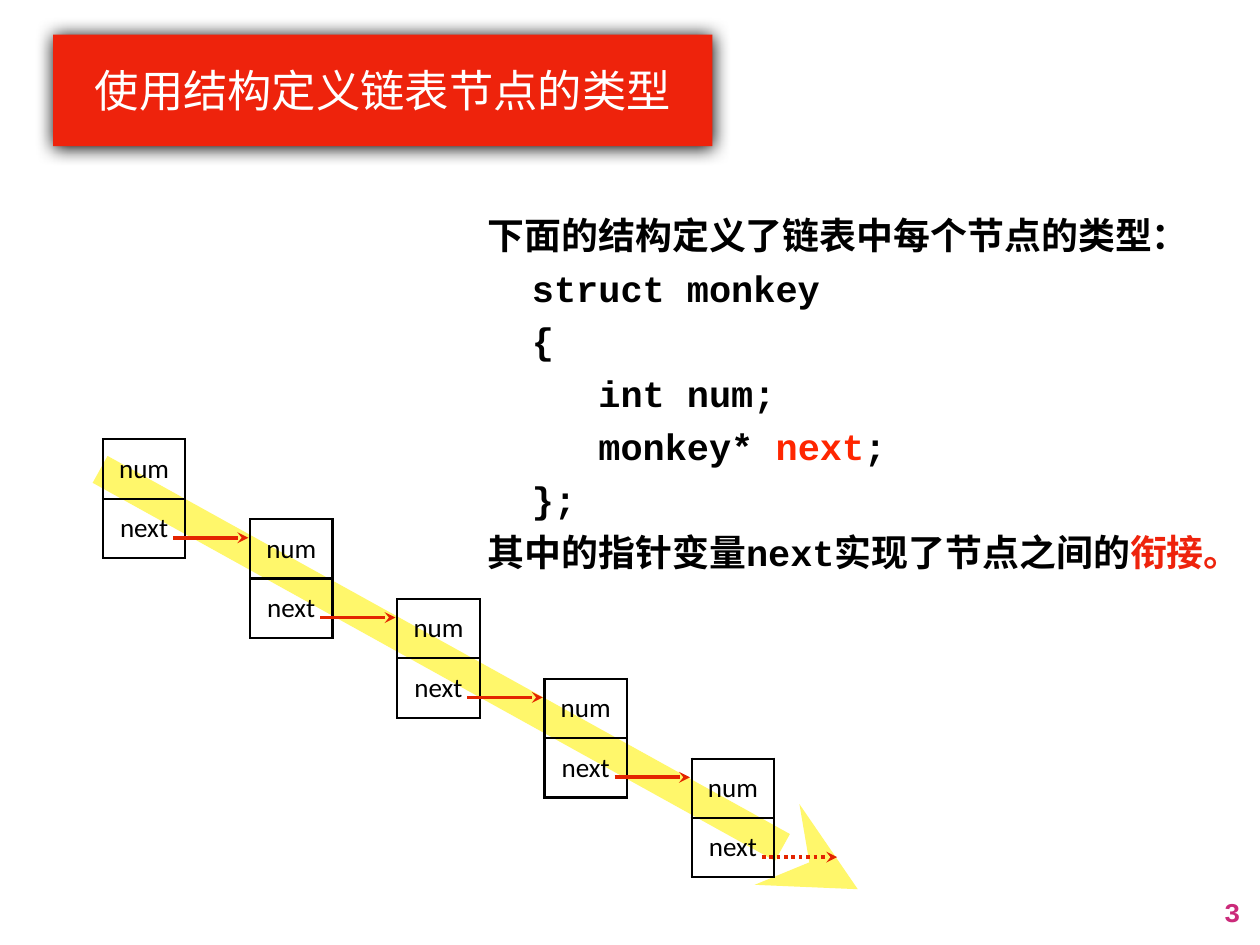
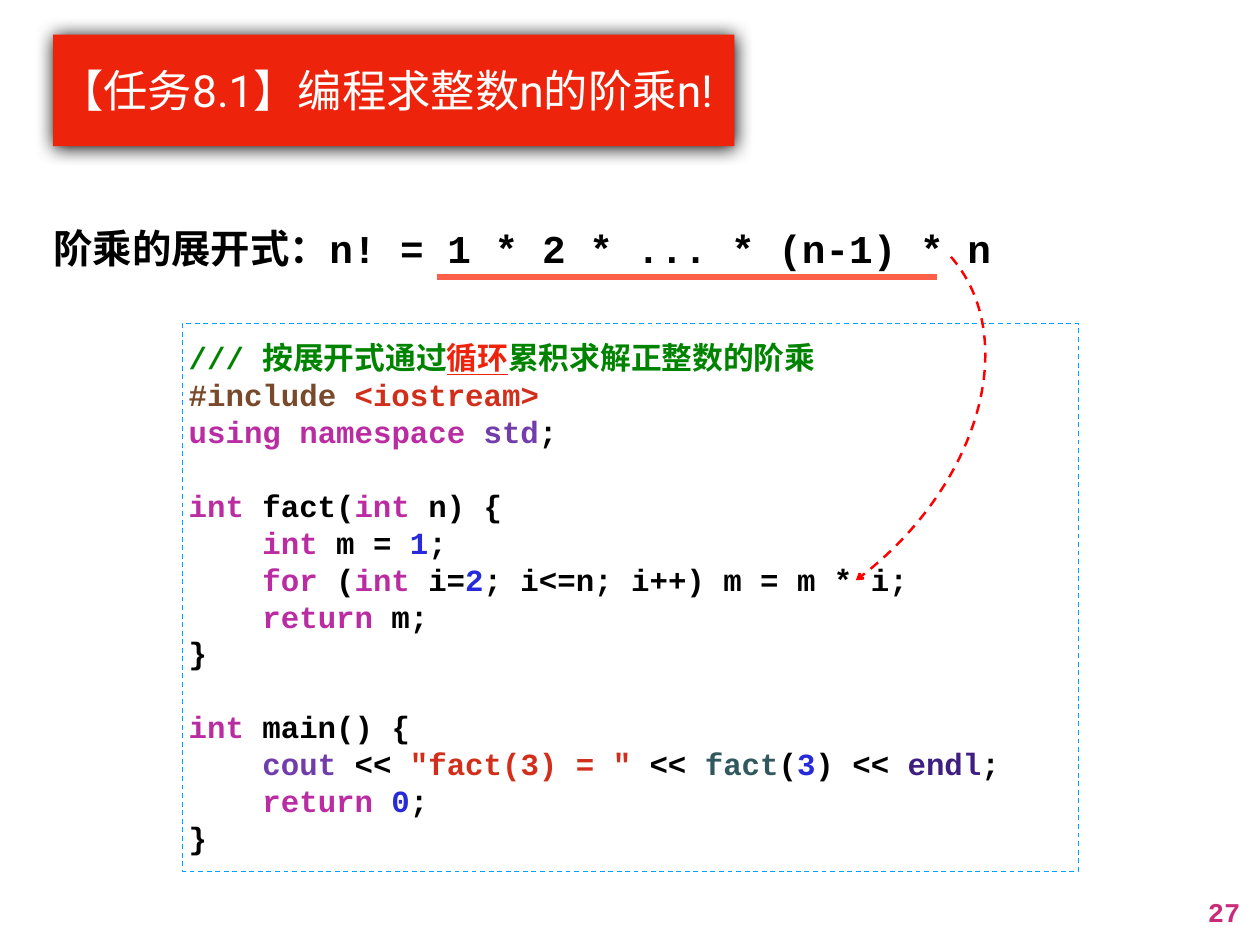
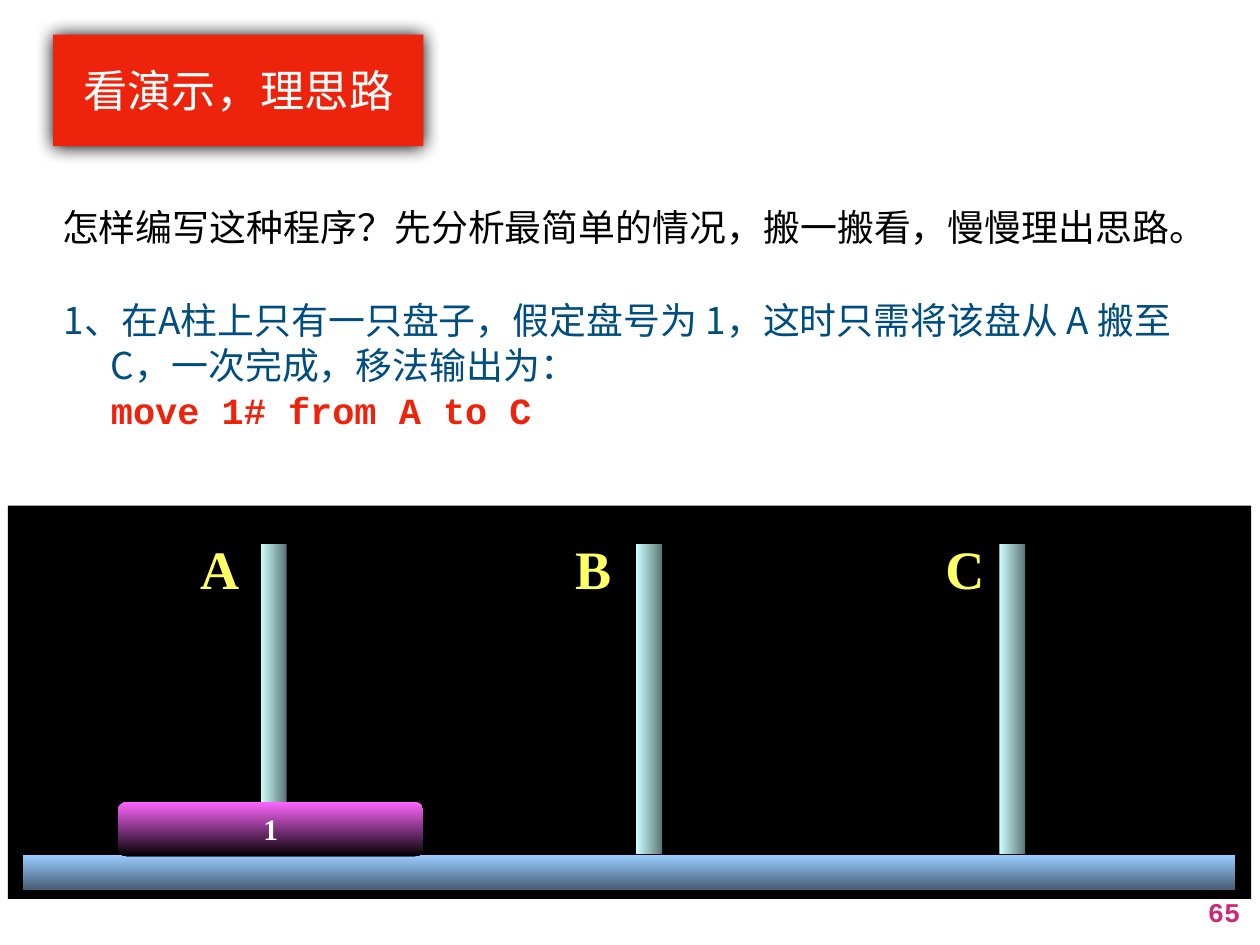
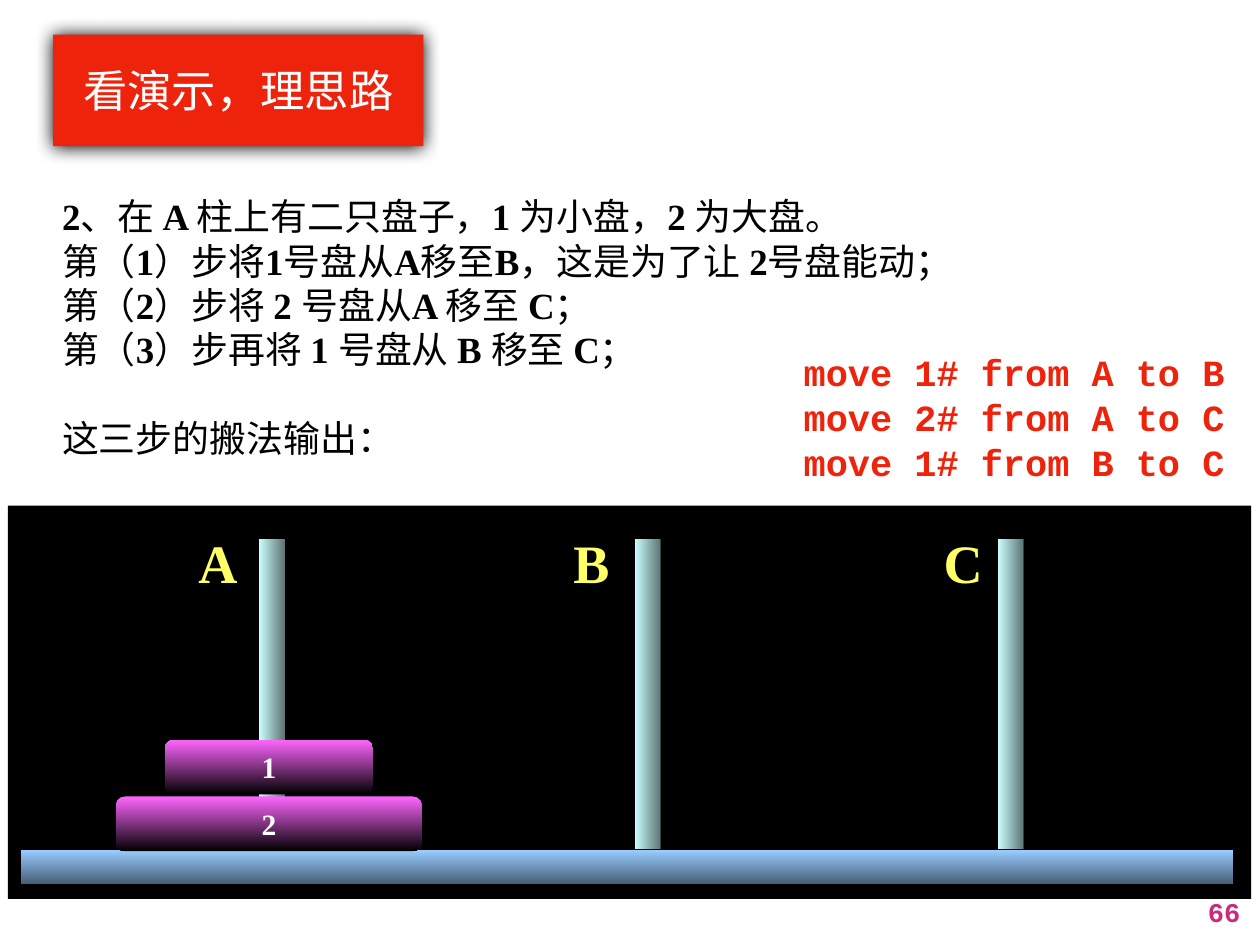
from itertools import groupby
from typing import NamedTuple, Optional

from lxml.etree import SubElement
from pptx import Presentation
from pptx.dml.color import RGBColor
from pptx.enum.dml import MSO_LINE
from pptx.enum.shapes import MSO_CONNECTOR, MSO_SHAPE
from pptx.enum.text import MSO_ANCHOR, MSO_AUTO_SIZE, PP_ALIGN
from pptx.oxml.ns import qn
from pptx.util import Cm, Pt

COLOURS = {
    "black": "000000", "white": "FFFFFF", "red": "EE230C", "magenta": "CB2A7A",
    "blue": "004D80", "next": "FF2600", "pointer": "E32400", "chain": "FFF76B",
    "underline": "FE5F48", "curve": "FF0000", "frame": "00A2FF",
    # Code highlighting
    "comment": "008400", "directive": "78492A", "string": "D12F1B",
    "keyword": "BA2DA2", "library": "703DAA", "number": "272AD8",
    "call": "31595D", "endl": "3E1E81",
    # Towers
    "label": "FFFF66", "pole_light": "CCFFFF", "pole_dark": "5E7676",
    "base_light": "99CCFF", "base_dark": "475E76", "disk": "FF66FF",
}
CODE_FONT, HAN_FONT, SERIF_FONT = "Courier New", "Noto Sans CJK SC", "Times New Roman"
MARGIN = 0.18
HANGING = 1.35


class Run(NamedTuple):
    text: str
    colour: Optional[str] = None
    font: Optional[str] = None
    bold: Optional[bool] = None
    underline: Optional[bool] = None


def rgb(name):
    return RGBColor.from_string(COLOURS[name])


def set_font(font, name=None, size=None, colour=None, bold=None, underline=None):
    if size:
        font.size = Pt(size)
    if bold is not None:
        font.bold = bold
    if underline is not None:
        font.underline = underline
    if colour:
        font.color.rgb = rgb(colour)
    if name:
        font.name = name


def write(shape, lines, font, size, colour="black", bold=False, pitch=None,
          align=PP_ALIGN.LEFT, anchor=MSO_ANCHOR.TOP, hanging=False, wrap=True):
    """Fill a shape with lines; an empty line becomes space before the next."""
    frame = shape.text_frame
    frame.word_wrap = wrap
    frame.auto_size = MSO_AUTO_SIZE.NONE if wrap else MSO_AUTO_SIZE.SHAPE_TO_FIT_TEXT
    frame.vertical_anchor = anchor
    frame.margin_left = frame.margin_right = Cm(MARGIN)
    frame.margin_top = frame.margin_bottom = Cm(MARGIN)
    paragraph, gap = None, 0
    for line in lines:
        if not line:
            gap += pitch
            continue
        paragraph = frame.add_paragraph() if paragraph else frame.paragraphs[0]
        paragraph.alignment = align
        if pitch:
            paragraph.line_spacing = Pt(pitch)
        if gap:
            paragraph.space_before = Pt(gap)
            gap = 0
        if hanging:
            properties = paragraph._p.get_or_add_pPr()
            properties.set("marL", str(Cm(HANGING)))
            properties.set("indent", str(-Cm(HANGING)))
        set_font(paragraph.font, font, size, colour, bold)
        for item in [line] if isinstance(line, str) else line:
            if item == "\n":
                paragraph.add_line_break()
                continue
            part = Run(item) if isinstance(item, str) else item
            run = paragraph.add_run()
            run.text = part.text
            set_font(run.font, part.font, None, part.colour, part.bold, part.underline)


def add_text(slide, box, lines, font, size, **style):
    shape = slide.shapes.add_textbox(*map(Cm, box))
    write(shape, lines, font, size, **style)
    return shape


def add_block(slide, kind, box, fill=None):
    """Preset shape without line or shadow, filled with a colour or nothing."""
    shape = slide.shapes.add_shape(kind, *map(Cm, box))
    shape.shadow.inherit = False
    shape.line.fill.background()
    if fill:
        shape.fill.solid()
        shape.fill.fore_color.rgb = rgb(fill)
    else:
        shape.fill.background()
    return shape


def add_gradient(slide, kind, box, colours, angle):
    shape = add_block(slide, kind, box)
    shape.fill.gradient()
    shape.fill.gradient_angle = angle
    for stop, colour, position in zip(shape.fill.gradient_stops, colours, (0, 1)):
        stop.color.rgb = rgb(colour)
        stop.position = position
    return shape


def style_line(line, colour, width, dash=None, arrow=None):
    line.color.rgb = rgb(colour)
    line.width = Pt(width)
    if dash:
        line.dash_style = dash
    if arrow:
        SubElement(line._get_or_add_ln(), qn("a:tailEnd"), type=arrow)


def add_line(slide, ends, colour, width, **style):
    line = slide.shapes.add_connector(MSO_CONNECTOR.STRAIGHT, *map(Cm, ends))
    style_line(line.line, colour, width, **style)
    SubElement(line._element.spPr, qn("a:effectLst"))


def start_slide(presentation, title, width, number, align=PP_ALIGN.CENTER):
    """New slide with the red title block and the page number."""
    slide = presentation.slides.add_slide(presentation.slide_layouts[5])
    shape = slide.shapes.title
    shape.left, shape.top, shape.width, shape.height = map(Cm, (1.52, 0.99, width, 3.2))
    shape.fill.solid()
    shape.fill.fore_color.rgb = rgb("red")
    effects = SubElement(shape._element.spPr, qn("a:effectLst"))
    shadow = SubElement(effects, qn("a:outerShdw"), blurRad=str(Pt(15)),
                        dist=str(Pt(0.7)), dir="5400000", rotWithShape="0")
    SubElement(shadow, qn("a:srgbClr"), val=COLOURS["black"])
    write(shape, [title], "Roboto", 36, "white", pitch=43, align=align,
          anchor=MSO_ANCHOR.MIDDLE)
    add_text(slide, (33.7, 25.5, 2.04, 1.27), [str(number)], CODE_FONT, 22,
             colour="magenta", bold=True, pitch=26, align=PP_ALIGN.RIGHT)
    return slide


def add_node(slide, left, top):
    """List node: a two-row table with black cell borders."""
    table = slide.shapes.add_table(2, 1, Cm(left), Cm(top), Cm(2.36), Cm(3.4)).table
    table.first_row = table.horz_banding = False
    for row, name in enumerate(("num", "next")):
        cell = table.cell(row, 0)
        cell.vertical_anchor = MSO_ANCHOR.MIDDLE
        cell.margin_left = cell.margin_right = Cm(0.15)
        cell.margin_top = cell.margin_bottom = Cm(0.15)
        properties = cell._tc.get_or_add_tcPr()
        for side in ("lnL", "lnR", "lnT", "lnB"):
            border = SubElement(properties, qn("a:" + side), w=str(Pt(2)))
            fill = SubElement(border, qn("a:solidFill"))
            SubElement(fill, qn("a:srgbClr"), val=COLOURS["black"])
        cell.fill.background()
        paragraph = cell.text_frame.paragraphs[0]
        paragraph.text = name
        paragraph.alignment = PP_ALIGN.CENTER
        set_font(paragraph.font, "Calibri", 22, "black", False)


def add_towers(slide, shift_x, shift_y, disk_widths):
    """Black stage with three pegs and a pile of disks, smallest first."""
    add_block(slide, MSO_SHAPE.RECTANGLE, (0.23, 14.5, 35.64, 11.28), "black")
    add_gradient(slide, MSO_SHAPE.RECTANGLE,
                 (0.66 + shift_x, 24.53 + shift_y, 34.75, 0.97),
                 ("base_light", "base_dark"), 270)
    pegs = (("A", 7.47, 5.56), ("B", 18.24, 16.31), ("C", 28.65, 26.92))
    for name, pole_left, label_left in pegs:
        add_gradient(slide, MSO_SHAPE.RECTANGLE,
                     (pole_left + shift_x, 15.6 + shift_y, 0.74, 8.9),
                     ("pole_light", "pole_dark"), 0)
        add_text(slide, (label_left + shift_x, 15.16 + shift_y, 1.8, 2.08), [name],
                 SERIF_FONT, 44, colour="label", bold=True)
    for index, width in enumerate(disk_widths):
        level = len(disk_widths) - 1 - index
        disk = add_gradient(slide, MSO_SHAPE.ROUNDED_RECTANGLE,
                            (7.76 - width / 2 + shift_x,
                             22.99 - 1.63 * level + shift_y, width, 1.57),
                            ("disk", "black"), 270)
        write(disk, [str(index + 1)], SERIF_FONT, 24, "white", True,
              align=PP_ALIGN.CENTER, anchor=MSO_ANCHOR.MIDDLE)


def mixed(text):
    """Split a line into bold serif Latin runs and plain Chinese runs."""
    return [Run("".join(part), font=SERIF_FONT if latin else HAN_FONT, bold=latin)
            for latin, part in groupby(text, str.isascii)]


def build_node_slide(presentation):
    slide = start_slide(presentation, "使用结构定义链表节点的类型", 18.9, 3)
    add_line(slide, (2.87, 13.46, 24.59, 25.5), "chain", 25, arrow="stealth")
    add_text(slide, (13.8, 5.66, 22.58, 10.95), [
        "下面的结构定义了链表中每个节点的类型：",
        "  struct monkey",
        "  {",
        "     int num;",
        ["     monkey* ", Run("next", "next"), ";"],
        "  };",
        ["其中的指针变量next实现了节点之间的", Run("衔接。", "red")],
    ], CODE_FONT, 30, bold=True, pitch=43, wrap=False)
    # Chain of nodes, each pointing to the one after it
    count = 5
    for index in range(count):
        left, top = 2.95 + 4.22 * index, 12.6 + 2.29 * index
        add_node(slide, left, top)
        add_line(slide, (left + 2.01, top + 2.82, left + 4.17, top + 2.82),
                 "pointer", 3, arrow="stealth",
                 dash=MSO_LINE.ROUND_DOT if index == count - 1 else None)


def build_factorial_slide(presentation):
    slide = start_slide(presentation, "【任务8.1】编程求整数n的阶乘n!", 19.53, 27,
                        PP_ALIGN.LEFT)
    # Program
    frame = add_block(slide, MSO_SHAPE.RECTANGLE, (5.23, 9.27, 25.68, 15.72))
    style_line(frame.line, "frame", 1, MSO_LINE.DASH)
    integer = Run("int", "keyword")
    code = [
        [Run("/// 按展开式通过", "comment"), Run("循环", "red", underline=True),
         Run("累积求解正整数的阶乘", "comment")],
        [Run("#include ", "directive"), Run("<iostream>", "string")],
        [Run("using namespace ", "keyword"), Run("std", "library"), ";"],
        "",
        [integer, " fact(", integer, " n) {"],
        ["    ", integer, " m = ", Run("1", "number"), ";"],
        ["    ", Run("for", "keyword"), " (", integer, " i=", Run("2", "number"),
         "; i<=n; i++) m = m * i;"],
        ["    ", Run("return", "keyword"), " m;"],
        "}",
        "",
        [integer, " main() {"],
        ["    ", Run("cout", "library"), " << ", Run('"fact(3) = "', "string"), " << ",
         Run("fact", "call"), "(", Run("3", "number"), ") << ", Run("endl", "endl"), ";"],
        ["    ", Run("return ", "keyword"), Run("0", "number"), ";"],
        "}",
    ]
    write(frame, code, CODE_FONT, 25, bold=True, pitch=30, anchor=MSO_ANCHOR.MIDDLE)
    # Formula, its underline and the curve to the code
    add_text(slide, (1.35, 6.3, 30.38, 1.65),
             ["阶乘的展开式：n! = 1 * 2 * ... * (n-1) * n"], CODE_FONT, 32,
             bold=True, pitch=38, anchor=MSO_ANCHOR.MIDDLE)
    add_line(slide, (12.52, 7.95, 26.85, 7.95), "underline", 4.5)
    curve = add_block(slide, MSO_SHAPE.ARC, (16.56, 4.88, 10.41, 14.63))
    curve.adjustments[1] = 5.63
    curve.rotation = 48.7
    style_line(curve.line, "curve", 2, MSO_LINE.DASH, "arrow")


def build_one_disk_slide(presentation):
    slide = start_slide(presentation, "看演示，理思路", 10.62, 65)
    add_towers(slide, 0, 0, [8.76])
    add_text(slide, (1.6, 5.66, 34.42, 1.85),
             ["怎样编写这种程序？先分析最简单的情况，搬一搬看，慢慢理出思路。"],
             HAN_FONT, 30, pitch=36.5)
    add_text(slide, (1.65, 8.33, 33.58, 4.8), [[
        "1、在A柱上只有一只盘子，假定盘号为 1，这时只需将该盘从 A 搬至 C，"
        "一次完成，移法输出为：",
        "\n",
        Run("move 1# from A to C", "red", CODE_FONT, True),
    ]], HAN_FONT, 30, colour="blue", pitch=36.5, hanging=True)


def build_two_disk_slide(presentation):
    slide = start_slide(presentation, "看演示，理思路", 10.62, 66)
    add_towers(slide, -0.05, -0.15, [5.97, 8.76])
    steps = [
        "2、在 A 柱上有二只盘子，1 为小盘，2 为大盘。",
        "第（1）步将1号盘从A移至B，这是为了让 2号盘能动；",
        "第（2）步将 2 号盘从A 移至 C；",
        "第（3）步再将 1 号盘从 B 移至 C；",
        "",
        "这三步的搬法输出：",
    ]
    add_text(slide, (1.6, 5.38, 26.72, 9.14), [mixed(step) for step in steps],
             HAN_FONT, 30, pitch=36, hanging=True)
    moves = ["move 1# from A to B", "move 2# from A to C", "move 1# from B to C"]
    add_text(slide, (22.86, 9.83, 12.73, 4.17), moves, CODE_FONT, 30,
             colour="red", bold=True, pitch=36.5)


def set_han_font(slide):
    """Give every named font the same companion for Chinese characters."""
    for latin in list(slide._element.iter(qn("a:latin"))):
        companion = SubElement(latin.getparent(), qn("a:ea"), typeface=HAN_FONT)
        latin.addnext(companion)


def main():
    presentation = Presentation()
    presentation.slide_width, presentation.slide_height = Cm(36.12), Cm(27.1)
    build_node_slide(presentation)
    build_factorial_slide(presentation)
    build_one_disk_slide(presentation)
    build_two_disk_slide(presentation)
    for slide in presentation.slides:
        set_han_font(slide)
    presentation.save("out.pptx")


if __name__ == "__main__":
    main()
